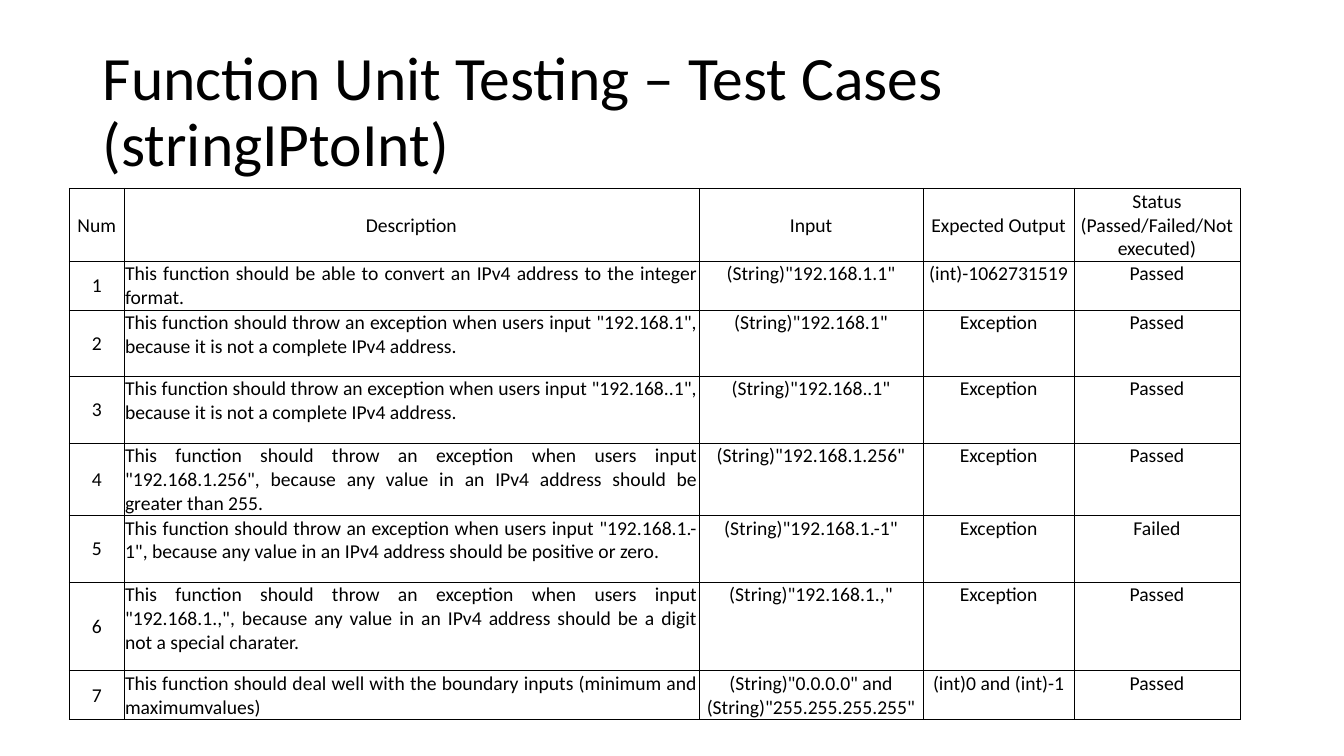
"""Build a slide with the unit test cases of stringIPtoInt in a bordered table."""
from lxml.etree import SubElement
from pptx import Presentation
from pptx.dml.color import RGBColor
from pptx.enum.text import MSO_ANCHOR, MSO_AUTO_SIZE, PP_ALIGN
from pptx.oxml.ns import qn
from pptx.util import Inches, Pt

INK = "000000"
THIN, THICK = 0.25, 1
COLUMN_WIDTHS = [0.54, 5.7, 2.23, 1.49, 1.65]
ROW_HEIGHTS = [0.61, 0.44, 0.66, 0.66, 0.66, 0.66, 0.88, 0.44]
HEADER = ["Num", "Description", "Input", "Expected Output", "Status\v(Passed/Failed/Not executed)"]
THROWS = "This function should throw an exception when users input "
TEST_CASES = [
    ("This function should be able to convert an IPv4 address to the integer format.",
     '(String)"192.168.1.1"', "(int)-1062731519", "Passed"),
    (THROWS + '"192.168.1", because it is not a complete IPv4 address.',
     '(String)"192.168.1"', "Exception", "Passed"),
    (THROWS + '"192.168..1", because it is not a complete IPv4 address.',
     '(String)"192.168..1"', "Exception", "Passed"),
    (THROWS + '"192.168.1.256", because any value in an IPv4 address should be greater than 255.',
     '(String)"192.168.1.256"', "Exception", "Passed"),
    (THROWS + '"192.168.1.-1", because any value in an IPv4 address should be positive or zero.',
     '(String)"192.168.1.-1"', "Exception", "Failed"),
    (THROWS + '"192.168.1.,", because any value in an IPv4 address should be a digit '
     "not a special charater.",
     '(String)"192.168.1.,"', "Exception", "Passed"),
    ("This function should deal well with the boundary inputs (minimum and maximumvalues)",
     '(String)"0.0.0.0" and (String)"255.255.255.255"', "(int)0 and (int)-1", "Passed"),
]


def format_paragraph(para, size, alignment):
    """Set the font and alignment of a whole paragraph."""
    para.alignment = alignment
    para.font.name = "Calibri"
    para.font.size = Pt(size)
    para.font.color.rgb = RGBColor.from_string(INK)


def add_borders(cell, widths):
    """Draw the left, right, top and bottom borders of a cell, widths in points."""
    properties = cell._tc.get_or_add_tcPr()
    for position, (side, width) in enumerate(zip("LRTB", widths)):
        line = SubElement(properties, qn(f"a:ln{side}"), w=str(Pt(width)))
        fill = SubElement(line, qn("a:solidFill"))
        SubElement(fill, qn("a:srgbClr"), val=INK)
        properties.insert(position, line)


deck = Presentation()
deck.slide_width, deck.slide_height = Inches(13.33), Inches(7.5)
page = deck.slides.add_slide(deck.slide_layouts[5])

title = page.shapes.title
title.left, title.top = Inches(0.92), Inches(0.4)
title.width, title.height = Inches(11.5), Inches(1.45)
title.text_frame.text = "Function Unit Testing – Test Cases (stringIPtoInt)"
title.text_frame.word_wrap = True
title.text_frame.auto_size = MSO_AUTO_SIZE.NONE
title.text_frame.vertical_anchor = MSO_ANCHOR.MIDDLE
heading = title.text_frame.paragraphs[0]
heading.line_spacing = 0.9
format_paragraph(heading, 44, PP_ALIGN.LEFT)

rows = [HEADER] + [(str(number), *case) for number, case in enumerate(TEST_CASES, 1)]
last_row, last_column = len(rows) - 1, len(HEADER) - 1
table = page.shapes.add_table(
    len(rows), len(HEADER), Inches(0.69), Inches(1.87),
    Inches(sum(COLUMN_WIDTHS)), Inches(sum(ROW_HEIGHTS))).table
table.first_row = table.horz_banding = False
for column, width in zip(table.columns, COLUMN_WIDTHS):
    column.width = Inches(width)
for row, height in zip(table.rows, ROW_HEIGHTS):
    row.height = Inches(height)

for r, texts in enumerate(rows):
    for c, text in enumerate(texts):
        cell = table.cell(r, c)
        cell.text = text
        cell.fill.background()
        cell.margin_left = cell.margin_right = cell.margin_top = Inches(0.01)
        cell.margin_bottom = 0
        centred = r == 0 or c == 0
        cell.vertical_anchor = MSO_ANCHOR.MIDDLE if centred else MSO_ANCHOR.TOP
        alignment = PP_ALIGN.JUSTIFY if r > 0 and c == 1 else PP_ALIGN.CENTER
        format_paragraph(cell.text_frame.paragraphs[0], 14, alignment)
        outer_edges = (c == 0, c == last_column, r == 0, r == last_row)
        add_borders(cell, [THICK if outer else THIN for outer in outer_edges])

deck.save("out.pptx")
